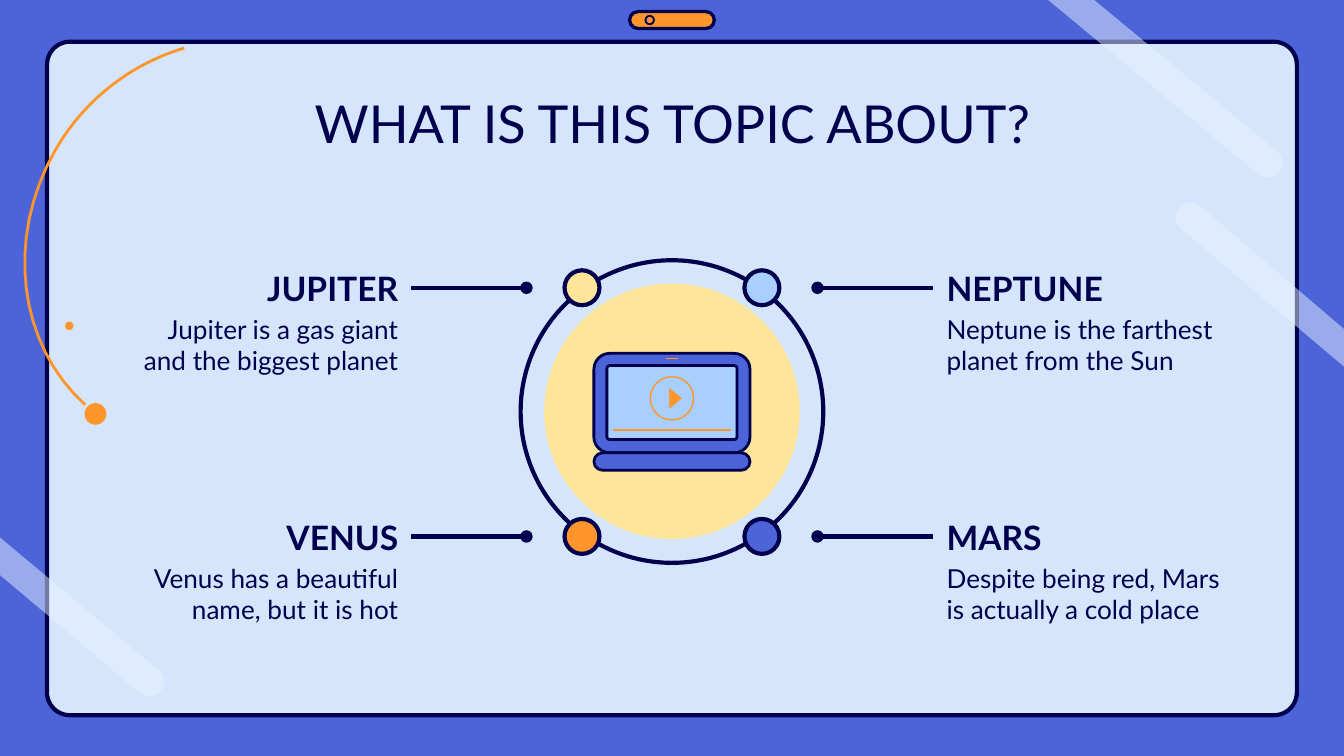
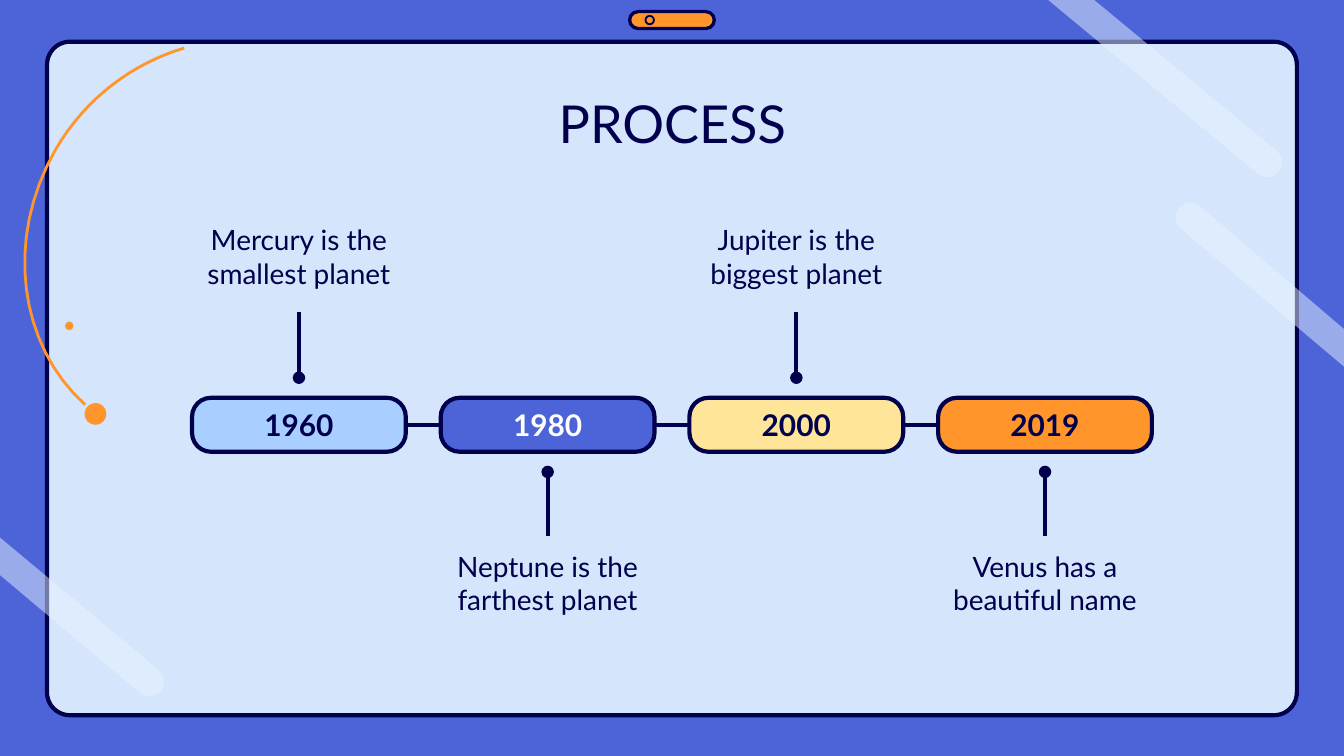
import math

import pptx
import pptx.util
from pptx.dml.color import RGBColor
from pptx.enum.shapes import MSO_CONNECTOR, MSO_SHAPE, PP_PLACEHOLDER
from pptx.enum.text import MSO_ANCHOR, MSO_AUTO_SIZE, PP_ALIGN
from pptx.oxml import parse_xml
from pptx.oxml.ns import nsdecls, qn
from pptx.util import Cm

NAVY = RGBColor(0x00, 0x00, 0x4D)
BLUE = RGBColor(0x4C, 0x64, 0xD8)
SKY = RGBColor(0xA8, 0xCF, 0xFF)
PALE = RGBColor(0xD5, 0xE6, 0xFC)
GLARE = RGBColor(0xE9, 0xF3, 0xFF)
YELLOW = RGBColor(0xFF, 0xE5, 0x99)
ORANGE = RGBColor(0xFF, 0x95, 0x2B)
WHITE = RGBColor(0xFF, 0xFF, 0xFF)
FONT = "Lato"
SLIDE_WIDTH = 25.4
CENTER = SLIDE_WIDTH / 2


def write(holder, text, size=14, color=NAVY, bold=False,
          align=PP_ALIGN.CENTER, anchor=MSO_ANCHOR.MIDDLE):
    frame = holder.text_frame
    frame.word_wrap = True
    frame.auto_size = MSO_AUTO_SIZE.NONE
    frame.vertical_anchor = anchor
    frame.margin_left = frame.margin_right = Cm(0.25)
    frame.margin_top = frame.margin_bottom = Cm(0.25)
    paragraph = frame.paragraphs[0]
    paragraph.alignment = align
    run = paragraph.add_run()
    run.text = text
    run.font.name = FONT
    run.font.size = pptx.util.Pt(size)
    run.font.bold = bold
    run.font.color.rgb = color


def style(part, fill=None, line=None, width=2.25, alpha=None, dot_end=False):
    """Set fill and line; connectors have no fill and may end in a dot."""
    properties = part._element.spPr
    if line is None:
        part.line.fill.background()
    else:
        part.line.color.rgb = line
        part.line.width = pptx.util.Pt(width)
    if dot_end:
        properties.find(qn("a:ln")).append(
            parse_xml(f'<a:tailEnd type="oval" {nsdecls("a")}/>'))
    if not hasattr(part, "fill"):
        properties.append(parse_xml(f'<a:effectLst {nsdecls("a")}/>'))
        return part
    part.shadow.inherit = False
    if fill is None:
        part.fill.background()
    else:
        part.fill.solid()
        part.fill.fore_color.rgb = fill
    if alpha is not None:
        properties.find(qn("a:solidFill"))[0].append(
            parse_xml(f'<a:alpha val="{alpha * 1000}" {nsdecls("a")}/>'))
    return part


prs = pptx.Presentation()
prs.slide_width, prs.slide_height = Cm(SLIDE_WIDTH), Cm(14.29)
background = prs.slide_master.background.fill
background.solid()
background.fore_color.rgb = BLUE

# Title-only layout without footer fields
layout = prs.slide_layouts[5]
for field in list(layout.placeholders):
    if field.placeholder_format.type != PP_PLACEHOLDER.TITLE:
        field._element.getparent().remove(field._element)

topic = prs.slides.add_slide(layout)
process = prs.slides.add_slide(layout)
shapes = topic.shapes

# Shared tablet frame, camera and dots
for kind, box, radius, look in [
    (MSO_SHAPE.ROUNDED_RECTANGLE, (0.89, 0.79, 23.62, 12.73), 0.034,
     dict(fill=PALE, line=NAVY)),
    (MSO_SHAPE.ROUNDED_RECTANGLE, (11.9, 0.22, 1.6, 0.32), 0.5,
     dict(fill=ORANGE, line=NAVY, width=1.75)),
    (MSO_SHAPE.OVAL, (12.2, 0.3, 0.16, 0.16), None, dict(line=NAVY, width=1)),
    (MSO_SHAPE.OVAL, (1.23, 6.08, 0.16, 0.16), None, dict(fill=ORANGE)),
    (MSO_SHAPE.OVAL, (1.6, 7.62, 0.41, 0.41), None, dict(fill=ORANGE)),
]:
    part = style(shapes.add_shape(kind, *map(Cm, box)), **look)
    if radius is not None:
        part.adjustments[0] = radius

# Shared orange orbit: two cubic curves
orbit_curves = [
    ((1.61, 7.65), (0.36, 6.53), (0.08, 4.52), (1.05, 2.83)),
    ((1.05, 2.83), (1.63, 1.83), (2.54, 1.19), (3.48, 0.91)),
]
orbit_points = []
for curve in orbit_curves:
    for step in range(17):
        t = step / 16
        weights = ((1 - t) ** 3, 3 * t * (1 - t) ** 2, 3 * t * t * (1 - t), t ** 3)
        orbit_points.append(tuple(
            Cm(sum(w * point[axis] for w, point in zip(weights, curve)))
            for axis in (0, 1)))
orbit = shapes.build_freeform(*orbit_points[0])
orbit.add_line_segments(orbit_points[1:], close=False)
style(orbit.convert_to_shape(), line=ORANGE, width=1.5)

# Shared glare bars: cut at the slide edge, round at the inner end
for edge_start, (end_x, end_y), edge_end, first_angle in [
    ((20.68, 0), (23.95, 3.07), (19.81, 0), -50),
    ((0, 10.16), (2.82, 12.88), (0, 10.87), -50),
    ((25.4, 6.93), (22.5, 4.11), (25.4, 6.22), 130),
]:
    outline = []
    for turn in range(0, 181, 15):
        angle = math.radians(first_angle + turn)
        outline.append((Cm(end_x + 0.28 * math.cos(angle)),
                        Cm(end_y + 0.28 * math.sin(angle))))
    outline.append(tuple(map(Cm, edge_end)))
    glare = shapes.build_freeform(*map(Cm, edge_start))
    glare.add_line_segments(outline)
    style(glare.convert_to_shape(), fill=GLARE, alpha=50)

# Hand the shared parts to the layout
for part in list(shapes):
    if not part.is_placeholder:
        layout.shapes._spTree.append(part._element)

# Titles
for slide, heading in [(topic, "WHAT IS THIS TOPIC ABOUT?"), (process, "PROCESS")]:
    title = slide.shapes.title
    title.left, title.top, title.width, title.height = map(Cm, (2.01, 1.47, 21.39, 1.6))
    write(title, heading, size=28, anchor=MSO_ANCHOR.TOP)

# Topic: disc, ring and laptop, all centred on the slide
for kind, width, height, top, radius, look in [
    (MSO_SHAPE.OVAL, 4.83, 4.83, 5.36, None, dict(fill=YELLOW)),
    (MSO_SHAPE.OVAL, 5.72, 5.72, 4.92, None, dict(line=NAVY)),
    (MSO_SHAPE.ROUNDED_RECTANGLE, 2.95, 1.88, 6.68, 0.16,
     dict(fill=BLUE, line=NAVY, width=1.5)),
    (MSO_SHAPE.ROUNDED_RECTANGLE, 2.46, 1.4, 6.91, 0.04,
     dict(fill=SKY, line=NAVY, width=1.5)),
    (MSO_SHAPE.OVAL, 0.82, 0.82, 7.12, None, dict(line=ORANGE, width=0.75)),
    (MSO_SHAPE.ROUNDED_RECTANGLE, 2.95, 0.33, 8.56, 0.5,
     dict(fill=BLUE, line=NAVY, width=1.5)),
]:
    part = shapes.add_shape(kind, Cm(CENTER - width / 2), Cm(top), Cm(width), Cm(height))
    style(part, **look)
    if radius is not None:
        part.adjustments[0] = radius

play = shapes.build_freeform(Cm(12.65), Cm(7.34))
play.add_line_segments([(Cm(12.65), Cm(7.72)), (Cm(12.88), Cm(7.53))])
style(play.convert_to_shape(), fill=ORANGE, line=ORANGE, width=0.25)

for length, y in [(2.24, 8.13), (0.24, 6.78)]:  # progress bar, webcam
    style(shapes.add_connector(MSO_CONNECTOR.STRAIGHT, Cm(CENTER - length / 2), Cm(y),
                               Cm(CENTER + length / 2), Cm(y)),
          line=ORANGE, width=0.75)

# Topic: four planets, mirrored left and right
planets = [
    ("JUPITER", "Jupiter is a gas giant and the biggest planet", -1, 0, YELLOW),
    ("NEPTUNE", "Neptune is the farthest planet from the Sun", 1, 0, SKY),
    ("VENUS", "Venus has a beautiful name, but it is hot", -1, 1, ORANGE),
    ("MARS", "Despite being red, Mars is actually a cold place", 1, 1, BLUE),
]
for name, fact, side, row, color in planets:
    y = 5.44 + 4.7 * row
    text_left = 2.01 if side < 0 else 17.64
    align = PP_ALIGN.RIGHT if side < 0 else PP_ALIGN.LEFT
    for text, offset, height, size, bold in [
        (fact, 0.25, 1.65, 14, False),
        (name, -0.49, 0.99, 18, True),
    ]:
        box = shapes.add_textbox(Cm(text_left), Cm(y + offset), Cm(5.77), Cm(height))
        write(box, text, size=size, bold=bold, align=align)
    style(shapes.add_connector(MSO_CONNECTOR.STRAIGHT, Cm(CENTER + side * 4.93), Cm(y),
                               Cm(CENTER + side * 2.75), Cm(y)),
          line=NAVY, dot_end=True)
    style(shapes.add_shape(MSO_SHAPE.OVAL, Cm(CENTER + side * 1.7 - 0.33), Cm(y - 0.33),
                           Cm(0.66), Cm(0.66)),
          fill=color, line=NAVY)

# Process: timeline with captions above and below in turn
shapes = process.shapes
style(shapes.add_connector(MSO_CONNECTOR.STRAIGHT, Cm(7.67), Cm(8.03), Cm(21.77), Cm(8.03)),
      line=NAVY)
years = [
    ("1960", "Mercury is the smallest planet", SKY, NAVY),
    ("1980", "Neptune is the farthest planet", BLUE, WHITE),
    ("2000", "Jupiter is the biggest planet", YELLOW, NAVY),
    ("2019", "Venus has a beautiful name", ORANGE, NAVY),
]
for index, (year, event, color, year_color) in enumerate(years):
    x = 5.65 + 4.7 * index
    if index % 2 == 0:
        stem_start, stem_end, caption_top = 5.89, 7.14, 3.96
    else:
        stem_start, stem_end, caption_top = 10.13, 8.92, 10.13
    style(shapes.add_connector(MSO_CONNECTOR.STRAIGHT, Cm(x), Cm(stem_start),
                               Cm(x), Cm(stem_end)),
          line=NAVY, dot_end=True)
    badge = shapes.add_shape(MSO_SHAPE.ROUNDED_RECTANGLE, Cm(x - 2.02), Cm(7.52),
                             Cm(4.04), Cm(1.02))
    badge.adjustments[0] = 0.35
    style(badge, fill=color, line=NAVY)
    write(badge, year, size=16, color=year_color, bold=True)
    caption = shapes.add_textbox(Cm(x - 2.53), Cm(caption_top), Cm(5.06), Cm(1.93))
    write(caption, event, size=15, anchor=MSO_ANCHOR.TOP)

prs.save("out.pptx")
